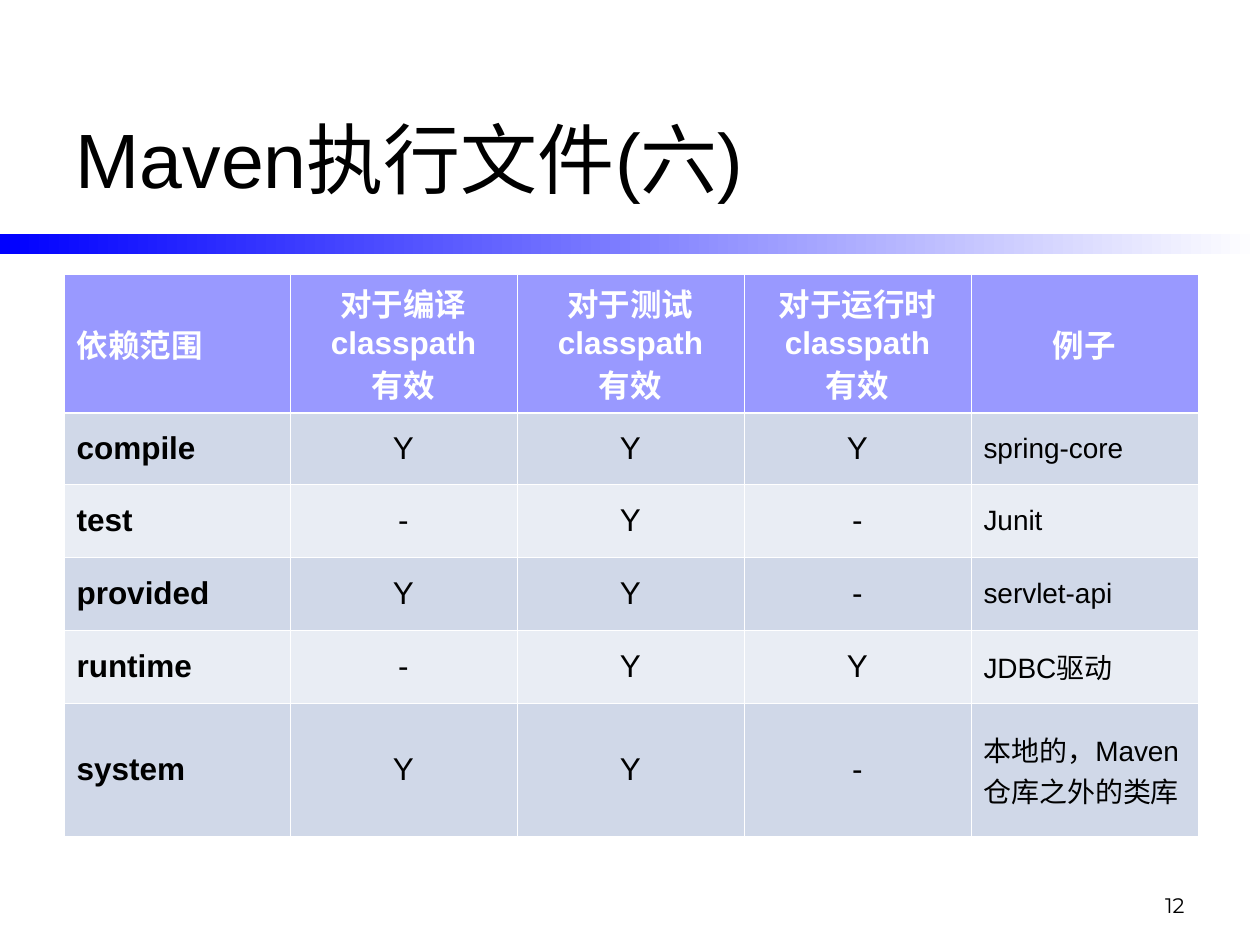
from dataclasses import dataclass

from lxml.etree import SubElement
from pptx import Presentation
from pptx.dml.color import RGBColor as RGB
from pptx.enum.shapes import MSO_SHAPE as Shape
from pptx.enum.text import MSO_ANCHOR as Anchor, MSO_AUTO_SIZE as AutoSize, PP_ALIGN as Align
from pptx.oxml.ns import qn
from pptx.util import Emu, Pt

EMU_PER_PX = 914400 / 126


def px(n):
    return Emu(round(n * EMU_PER_PX))


@dataclass(frozen=True)
class Theme:
    font: str = "Arial"
    number_font: str = "Montserrat"
    ink: str = "000000"
    paper: str = "FFFFFF"
    accent: str = "0000FF"
    header: str = "9999FF"
    bands: tuple = ("D0D8E8", "E9EDF4")
    title_size: int = 44
    body_size: int = 18
    example_size: int = 16
    number_size: int = 12
    thin: float = 0.45
    thick: float = 1.47


def write(tf, text, *, font, size, color, bold=False, align=Align.LEFT):
    """Fill a text frame, one paragraph per line of text."""
    tf.word_wrap = True
    for i, line in enumerate(text.split("\n")):
        p = tf.add_paragraph() if i else tf.paragraphs[0]
        p.alignment = align
        r = p.add_run()
        r.text = line
        r.font.name, r.font.size, r.font.bold = font, Pt(size), bold
        r.font.color.rgb = RGB.from_string(color)


class SlideBuilder:
    def __init__(self, slide, theme):
        self.s, self.t = slide, theme

    def title(self, text, *box):
        sp = self.s.shapes.title
        sp.left, sp.top, sp.width, sp.height = map(px, box)
        tf = sp.text_frame
        write(tf, text, font=self.t.font, size=self.t.title_size, color=self.t.ink)
        tf.auto_size, tf.vertical_anchor = AutoSize.NONE, Anchor.MIDDLE

    def gradient_bar(self, *box):
        sp = self.s.shapes.add_shape(Shape.RECTANGLE, *map(px, box))
        sp.shadow.inherit = False
        sp.line.fill.background()
        sp.fill.gradient()
        sp.fill.gradient_angle = 180
        for stop, color, at in zip(sp.fill.gradient_stops, (self.t.paper, self.t.accent), (0, 1)):
            stop.color.rgb, stop.position = RGB.from_string(color), at
        self.s.shapes.title.element.addprevious(sp.element)  # behind the title

    def borders(self, cell, top, bottom):
        tc_pr = cell._tc.get_or_add_tcPr()
        widths = {"lnL": self.t.thin, "lnR": self.t.thin, "lnT": top, "lnB": bottom}
        for tag, width in widths.items():
            ln = SubElement(tc_pr, qn(f"a:{tag}"), w=str(Pt(width)))
            SubElement(SubElement(ln, qn("a:solidFill")), qn("a:srgbClr"), val=self.t.paper)

    def cell(self, cell, text, row, col, last_col):
        t = self.t
        header, example = row == 0, row > 0 and col == last_col
        self.borders(cell, t.thick if row == 1 else t.thin, t.thick if header else t.thin)
        cell.fill.solid()
        cell.fill.fore_color.rgb = RGB.from_string(t.header if header else t.bands[(row - 1) % 2])
        cell.vertical_anchor = Anchor.MIDDLE
        write(cell.text_frame, text, font=t.font,
              size=t.example_size if example else t.body_size,
              color=t.paper if header else t.ink,
              bold=header or col == 0,
              align=Align.LEFT if col == 0 or example else Align.CENTER)

    def table(self, rows, left, top, widths, heights):
        box = map(px, (left, top, sum(widths), sum(heights)))
        table = self.s.shapes.add_table(len(rows), len(widths), *box).table
        for column, width in zip(table.columns, widths):
            column.width = px(width)
        for i, (row, height) in enumerate(zip(rows, heights)):
            table.rows[i].height = px(height)
            for j, text in enumerate(row):
                self.cell(table.cell(i, j), text, i, j, len(widths) - 1)

    def page_number(self, text, *box):
        tf = self.s.shapes.add_textbox(*map(px, box)).text_frame
        tf.vertical_anchor = Anchor.BOTTOM
        write(tf, text, font=self.t.number_font, size=self.t.number_size,
              color=self.t.ink, align=Align.RIGHT)


SCOPES = [
    ["依赖范围", *(f"对于{phase}classpath\n有效" for phase in ("编译", "测试", "运行时")), "例子"],
    ["compile", "Y", "Y", "Y", "spring-core"],
    ["test", "-", "Y", "-", "Junit"],
    ["provided", "Y", "Y", "-", "servlet-api"],
    ["runtime", "-", "Y", "Y", "JDBC驱动"],
    ["system", "Y", "Y", "-", "本地的，Maven仓库之外的类库"],
]


def main():
    prs = Presentation()
    prs.slide_width, prs.slide_height = px(1260), px(945)
    slide = SlideBuilder(prs.slides.add_slide(prs.slide_layouts[5]), Theme())

    # Heading
    slide.title("Maven执行文件(六)", 63, 63, 1134, 189)
    slide.gradient_bar(0, 234, 1260, 20)

    # Dependency scopes
    slide.table(SCOPES, 64, 274, [226] + [227] * 4, [132, 71, 73, 73, 73, 113])

    # Footer
    slide.page_number("12", 903, 861, 294, 63)
    prs.save("out.pptx")


if __name__ == "__main__":
    main()
